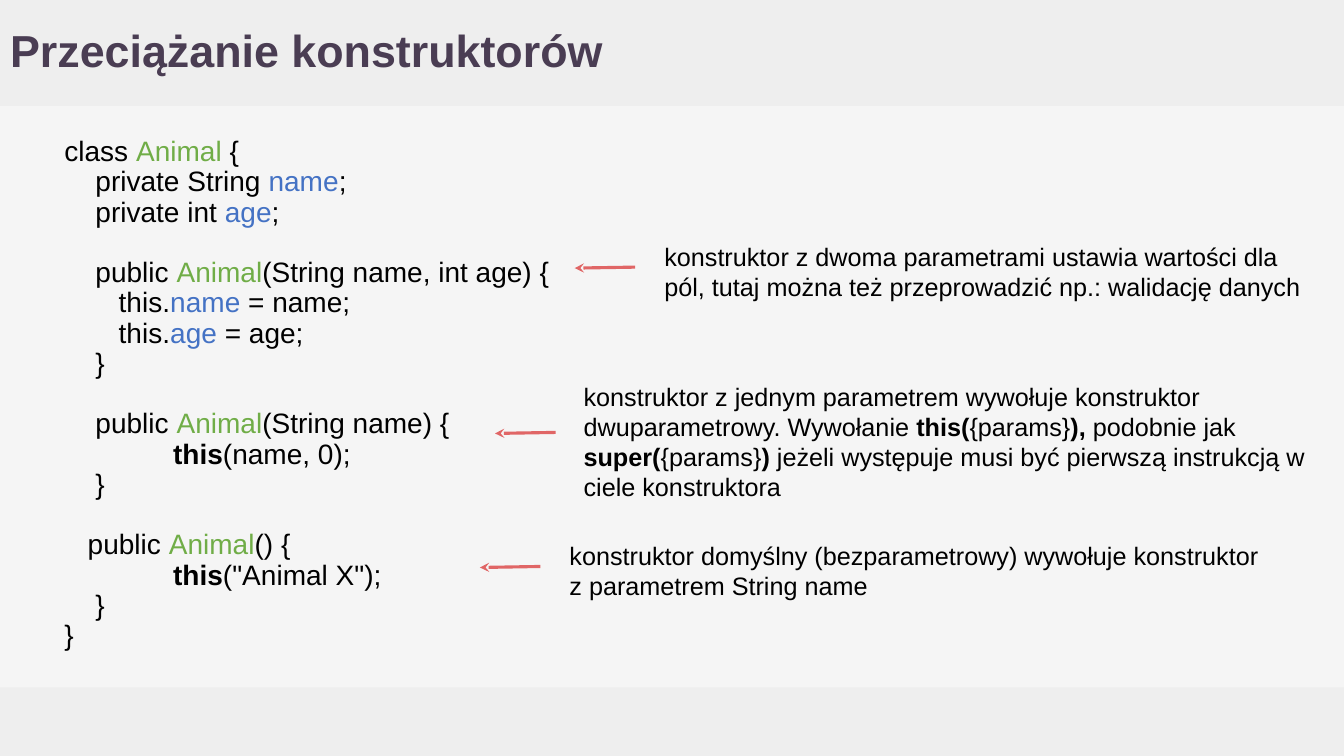
from lxml.etree import SubElement
from pptx import Presentation
from pptx.dml.color import RGBColor
from pptx.enum.shapes import MSO_CONNECTOR, MSO_SHAPE
from pptx.enum.text import MSO_ANCHOR, MSO_AUTO_SIZE, PP_ALIGN
from pptx.oxml.ns import qn
from pptx.util import Inches, Pt

BACKGROUND = RGBColor(0xF5, 0xF5, 0xF5)
BAND = RGBColor(0xEE, 0xEE, 0xEE)
HEADING = RGBColor(0x4A, 0x3D, 0x53)
BLACK = RGBColor(0x00, 0x00, 0x00)
GREEN = RGBColor(0x70, 0xAD, 0x47)
BLUE = RGBColor(0x44, 0x72, 0xC4)
ARROW = RGBColor(0xE0, 0x66, 0x66)

WIDTH, HEIGHT = 13.33, 7.5
HEADER, FOOTER = 1.05, 0.68
INSET = 0.1
SPACE = 0.077  # width of one space in the code, in inches
CODE_SIZE, NOTE_SIZE = 20, 18
BLANK_LINE = Pt(21.6)


def add_run(paragraph, text, size=CODE_SIZE, color=BLACK, bold=False):
    run = paragraph.add_run()
    run.text = text
    run.font.name = "Arial"
    run.font.size = Pt(size)
    run.font.color.rgb = color
    run.font.bold = bold


def prepare_frame(box, anchor=MSO_ANCHOR.TOP):
    frame = box.text_frame
    frame.word_wrap = True
    frame.auto_size = MSO_AUTO_SIZE.NONE
    frame.vertical_anchor = anchor
    frame.margin_left = frame.margin_right = Inches(INSET)
    frame.margin_top = frame.margin_bottom = Inches(INSET)
    return frame


presentation = Presentation()
presentation.slide_width = Inches(WIDTH)
presentation.slide_height = Inches(HEIGHT)
slide = presentation.slides.add_slide(presentation.slide_layouts[5])
slide.background.fill.solid()
slide.background.fill.fore_color.rgb = BACKGROUND

# Header and footer bands, behind the title
for top, height in ((0, HEADER), (HEIGHT - FOOTER, FOOTER)):
    band = slide.shapes.add_shape(
        MSO_SHAPE.RECTANGLE, 0, Inches(top), Inches(WIDTH), Inches(height))
    band.shadow.inherit = False
    band.fill.solid()
    band.fill.fore_color.rgb = BAND
    band.line.fill.background()
    slide.shapes._spTree.insert(2, band._element)

# Title
title = slide.shapes.title
title.left, title.top = 0, 0
title.width, title.height = Inches(11.92), Inches(HEADER)
heading = prepare_frame(title, MSO_ANCHOR.MIDDLE).paragraphs[0]
heading.alignment = PP_ALIGN.LEFT
heading.line_spacing = 0.9
add_run(heading, "Przeciążanie konstruktorów", size=32, color=HEADING, bold=True)

# Code: indent in spaces, blank line before, runs with their format
class_name = ("Animal", {"color": GREEN})
name_field = ("name", {"color": BLUE})
age_field = ("age", {"color": BLUE})
this_call = ("this", {"bold": True})
code_lines = [
    (0, False, ["class ", class_name, " {"]),
    (4, False, ["private String ", name_field, ";"]),
    (4, False, ["private int ", age_field, ";"]),
    (4, True, ["public ", class_name, "(String name, int age) {"]),
    (7, False, ["this.", name_field, " = name;"]),
    (7, False, ["this.", age_field, " = age;"]),
    (4, False, ["}"]),
    (4, True, ["public ", class_name, "(String name) {"]),
    (14, False, [this_call, "(name, 0);"]),
    (4, False, ["}"]),
    (3, True, ["public ", class_name, "() {"]),
    (14, False, [this_call, '("Animal X");']),
    (4, False, ["}"]),
    (0, False, ["}"]),
]
code_box = slide.shapes.add_textbox(
    Inches(0.54), Inches(HEADER), Inches(5.15), Inches(5.73))
code = prepare_frame(code_box, MSO_ANCHOR.MIDDLE)
for number, (indent, blank_before, runs) in enumerate(code_lines):
    line = code.add_paragraph() if number else code.paragraphs[0]
    line.line_spacing = 0.9
    line.space_before = BLANK_LINE if blank_before else Pt(0)
    line._p.get_or_add_pPr().set("marL", str(Inches(indent * SPACE)))
    for run in runs:
        text, style = (run, {}) if isinstance(run, str) else run
        add_run(line, text, **style)

# Explanations, each with an arrow to its constructor
# (left, top, width, height), (arrow start x, y), alternating plain and bold text
explanations = [
    ((6.49, 2.29, 6.65, 0.78), (6.3, 2.65),
     ["konstruktor z dwoma parametrami ustawia wartości dla pól, "
      "tutaj można też przeprowadzić np.: walidację danych"]),
    ((5.69, 3.68, 7.44, 1.38), (5.51, 4.29),
     ["konstruktor z jednym parametrem wywołuje konstruktor "
      "dwuparametrowy. Wywołanie ", "this(", "{params}", "), ",
      "podobnie jak ", "super(", "{params}", ")",
      " jeżeli występuje musi być pierwszą instrukcją w ciele konstruktora"]),
    ((5.55, 5.26, 7.1, 0.78), (5.36, 5.62),
     ["konstruktor domyślny (bezparametrowy) wywołuje konstruktor "
      "z parametrem String name"]),
]
for place, (start_x, start_y), parts in explanations:
    note_box = slide.shapes.add_textbox(*map(Inches, place))
    note = prepare_frame(note_box).paragraphs[0]
    for index, part in enumerate(parts):
        add_run(note, part, size=NOTE_SIZE, bold=index % 2 == 1)

    arrow = slide.shapes.add_connector(
        MSO_CONNECTOR.STRAIGHT, Inches(start_x), Inches(start_y),
        Inches(start_x - 0.6), Inches(start_y + 0.01))
    arrow.line.color.rgb = ARROW
    arrow.line.width = Pt(2.25)
    SubElement(arrow.line._get_or_add_ln(), qn("a:tailEnd"), type="stealth")
    SubElement(arrow._element.spPr, qn("a:effectLst"))

presentation.save("out.pptx")
